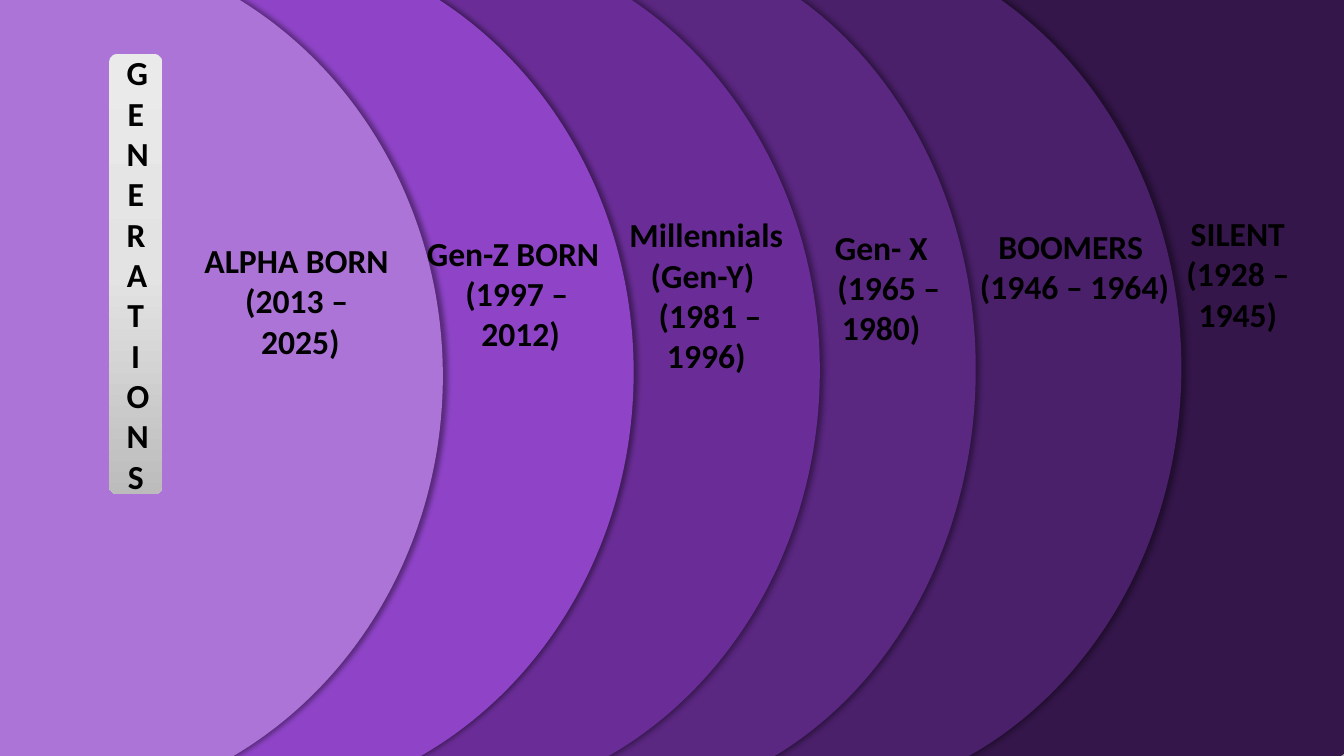
from copy import deepcopy

from lxml import etree
from pptx import Presentation
from pptx import util as u
from pptx.dml.color import RGBColor
from pptx.enum import shapes, text
from pptx.oxml import ns

WIDTH, HEIGHT = u.Inches(13.33), u.Inches(7.5)
BLACK = RGBColor(0x00, 0x00, 0x00)
NIGHT = RGBColor(0x34, 0x16, 0x4A)
PLUM = RGBColor(0x4A, 0x20, 0x6A)
GRAPE = RGBColor(0x5A, 0x27, 0x81)
PURPLE = RGBColor(0x6A, 0x2D, 0x97)
VIOLET = RGBColor(0x8F, 0x44, 0xC8)
LILAC = RGBColor(0xAC, 0x74, 0xD6)
SILVER = RGBColor(0xEB, 0xEA, 0xEA)
PEARL = RGBColor(0xE4, 0xE3, 0xE3)
GREY = RGBColor(0xBD, 0xBC, 0xBC)

FONT = {"name": "Calibri", "size": u.Pt(24), "bold": True}
LABEL_FRAME = {"word_wrap": True, "auto_size": text.MSO_AUTO_SIZE.SHAPE_TO_FIT_TEXT}
TITLE_FRAME = {
    "word_wrap": True,
    "vertical_anchor": text.MSO_ANCHOR.MIDDLE,
    "margin_left": u.Inches(0.15),
    "margin_right": u.Inches(0.15),
    "margin_top": 0,
    "margin_bottom": 0,
}

DISCS = [
    ((48.0, -11.1, 66.3, 121.6), NIGHT),
    ((30.9, -8.7, 57.0, 114.7), PLUM),
    ((18.0, -8.5, 54.6, 114.7), GRAPE),
    ((2.9, -8.3, 58.1, 114.7), PURPLE),
    ((-12.15, -8.1, 59.3, 114.7), VIOLET),
    ((-27.2, -7.6, 60.15, 114.7), LILAC),
]
LABELS = [
    ((14.3, 31.1, 16.1, 17.5), ["ALPHA BORN ", "(2013 – ", "2025)"]),
    ((30.9, 30.1, 15.1, 17.5), ["Gen-Z BORN ", "(1997 –", " 2012)"]),
    ((44.6, 27.7, 15.9, 22.9), ["Millennials", "(Gen-Y) ", " (1981 – 1996)"]),
    ((57.9, 29.3, 15.9, 17.5), ["Gen- X ", " (1965 – 1980) "]),
    ((71.9, 29.2, 16.1, 12.1), ["BOOMERS ", "(1946 – 1964)"]),
    ((83.4, 27.5, 17.4, 17.5), ["SILENT", "(1928 –", "1945)"]),
]
TITLE_BOX = (8.1, 7.1, 4.0, 58.3)
TITLE = ["GENERAT", "IONS"]


def place(box):
    """Turn percentages of the slide into left, top, width and height."""
    return [round(share * side / 100) for share, side in zip(box, (WIDTH, HEIGHT) * 2)]


def apply(target, values):
    """Set each named attribute on the target."""
    for name, value in values.items():
        setattr(target, name, value)


def write(shape, lines, frame_values):
    """Fill a shape with centred bold lines, one paragraph each."""
    frame = shape.text_frame
    apply(frame, frame_values)
    for index, line in enumerate(lines):
        para = frame.add_paragraph() if index else frame.paragraphs[0]
        para.alignment = text.PP_ALIGN.CENTER
        span = para.add_run()
        span.text = line
        apply(span.font, FONT)
        span.font.color.rgb = BLACK


def add_plain(page, kind, box):
    """Add a preset shape with neither outline nor shadow."""
    shape = page.shapes.add_shape(kind, *place(box))
    shape.shadow.inherit = False
    shape.line.fill.background()
    return shape


def add_disc(page, box, color):
    """Draw one generation's disc with a soft shadow on its right."""
    disc = add_plain(page, shapes.MSO_SHAPE.OVAL, box)
    disc.fill.solid()
    disc.fill.fore_color.rgb = color
    effects = disc._element.spPr.find(ns.qn("a:effectLst"))
    shadow = etree.SubElement(effects, ns.qn("a:outerShdw"), blurRad=str(u.Pt(4)),
                              dist=str(u.Pt(3)), dir="0", algn="l", rotWithShape="0")
    tint = etree.SubElement(shadow, ns.qn("a:srgbClr"), val=str(BLACK))
    etree.SubElement(tint, ns.qn("a:alpha"), val="40000")


def add_label(page, box, lines):
    """Write a generation's name and years in its band."""
    write(page.shapes.add_textbox(*place(box)), lines, LABEL_FRAME)


def add_title(page, box, lines):
    """Draw the silver title bar with its letters stacked."""
    bar = add_plain(page, shapes.MSO_SHAPE.ROUNDED_RECTANGLE, box)
    bar.fill.gradient()
    bar.fill.gradient_angle = 270
    stops = next(bar._element.spPr.iter(ns.qn("a:gsLst")))
    stops.append(deepcopy(stops[-1]))
    for stop, color, position in zip(bar.fill.gradient_stops, (SILVER, PEARL, GREY), (0, 0.5, 1)):
        stop.color.rgb = color
        stop.position = position
    write(bar, lines, TITLE_FRAME)


def build_generations(deck):
    """Build the slide of overlapping generation discs."""
    page = deck.slides.add_slide(deck.slide_layouts[6])
    for box, color in DISCS:
        add_disc(page, box, color)
    for box, lines in LABELS:
        add_label(page, box, lines)
    add_title(page, TITLE_BOX, TITLE)


def main():
    """Create the deck and save it."""
    deck = Presentation()
    apply(deck, {"slide_width": WIDTH, "slide_height": HEIGHT})
    build_generations(deck)
    deck.save("out.pptx")


if __name__ == "__main__":
    main()
